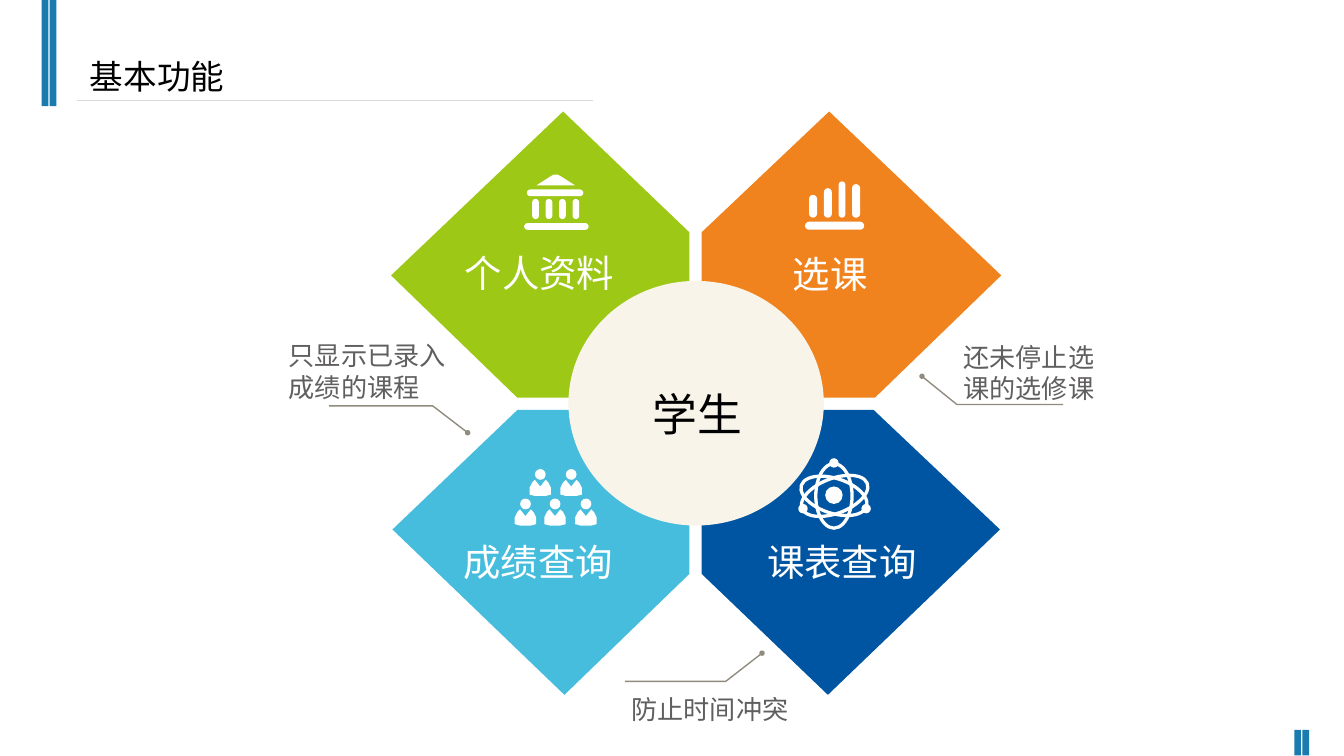
from dataclasses import dataclass

from lxml.etree import SubElement
from pptx import Presentation
from pptx.dml.color import RGBColor
from pptx.enum.shapes import MSO_CONNECTOR as Connector
from pptx.enum.shapes import MSO_SHAPE as Preset
from pptx.enum.text import MSO_AUTO_SIZE as AutoSize
from pptx.oxml.ns import qn
from pptx.util import Emu, Pt

EMU_PER_PX = 9144  # 100 px to the inch
SLIDE_WIDTH = 1000

COLORS = {
    "stripe": "1A7BAE", "rule": "D9D9D9", "lime": "9DC815", "orange": "F0831E",
    "sky": "47BDDD", "navy": "0055A2", "cream": "F8F4EA", "leader": "908B7E",
    "note": "605E5E", "white": "FFFFFF", "black": "000000",
}

Points = list[tuple[int, int]]


@dataclass
class Box:
    x: int
    y: int
    w: int
    h: int

    def emu(self) -> list[Emu]:
        return [px(v) for v in (self.x, self.y, self.w, self.h)]


@dataclass
class Label:
    text: str
    box: Box
    size: int
    color: str
    font: str = "Courier New"
    wrap: bool = False


@dataclass
class Petal:
    color: str
    outline: Points


@dataclass
class Leader:
    route: Points  # the dot sits on the first point


def px(value: int) -> Emu:
    return Emu(value * EMU_PER_PX)


def rgb(color: str) -> RGBColor:
    return RGBColor.from_string(COLORS[color])


def paint(shape, color: str) -> None:
    shape.shadow.inherit = False
    shape.fill.solid()
    shape.fill.fore_color.rgb = rgb(color)
    shape.line.fill.background()


def stroke(shape, color: str, width: float) -> None:
    shape.shadow.inherit = False
    shape.fill.background()
    shape.line.color.rgb = rgb(color)
    shape.line.width = Pt(width)


def add_preset(shapes, kind: Preset, box: Box, color: str):
    shape = shapes.add_shape(kind, *box.emu())
    paint(shape, color)
    return shape


def add_pill(shapes, box: Box) -> None:
    add_preset(shapes, Preset.ROUNDED_RECTANGLE, box, "white").adjustments[0] = 0.5


def add_path(shapes, points: Points, close: bool = True):
    builder = shapes.build_freeform(*points[0], scale=EMU_PER_PX)
    builder.add_line_segments(points[1:], close=close)
    return builder.convert_to_shape()


def add_leader(shapes, leader: Leader) -> None:
    stroke(add_path(shapes, leader.route, close=False), "leader", 0.75)
    x, y = leader.route[0]
    add_preset(shapes, Preset.OVAL, Box(x - 2, y - 2, 4, 4), "leader")


def add_person(shapes, center: int, top: int) -> None:
    add_preset(shapes, Preset.OVAL, Box(center - 4, top, 8, 8), "white")
    half = [(0, 13), (4, 8), (6, 10), (8, 14), (8, 19), (4, 20)]
    torso = half + [(-dx, dy) for dx, dy in reversed(half[1:])]
    paint(add_path(shapes, [(center + dx, top + dy) for dx, dy in torso]), "white")


def add_orbit(shapes, box: Box, tilt: int) -> None:
    orbit = shapes.add_shape(Preset.OVAL, *box.emu())
    stroke(orbit, "white", 1.75)
    orbit.rotation = tilt


def add_label(shapes, label: Label) -> None:
    frame = shapes.add_textbox(*label.box.emu()).text_frame
    frame.word_wrap = label.wrap
    frame.auto_size = AutoSize.SHAPE_TO_FIT_TEXT
    paragraph = frame.paragraphs[0]
    paragraph.text = label.text
    paragraph.font.name = label.font
    paragraph.font.size = Pt(label.size)
    paragraph.font.color.rgb = rgb(label.color)


STRIPES = [Box(31, 0, 5, 79), Box(37, 0, 5, 79),
           Box(963, 543, 5, 19), Box(969, 543, 5, 19)]

PETALS = [
    Petal("orange", [(651, 296), (522, 296), (522, 173), (617, 83), (745, 205)]),
    Petal("sky", [(513, 427), (513, 305), (385, 305), (292, 394), (420, 517)]),
    Petal("navy", [(522, 427), (522, 305), (650, 305), (744, 394), (616, 517)]),
    Petal("lime", [(385, 296), (513, 296), (513, 173), (419, 83), (291, 205)]),
]

LEADERS = [
    Leader([(348, 322), (322, 302), (245, 302)]),
    Leader([(567, 486), (540, 507), (465, 507)]),
    Leader([(686, 280), (712, 301), (791, 301)]),
]

LABELS = [
    Label("基本功能", Box(57, 37, 121, 40), 18, "black", "Arial"),
    Label("防止时间冲突", Box(460, 511, 138, 34), 14, "note"),
    Label("只显示已录入成绩的课程", Box(205, 248, 154, 57), 14, "note", wrap=True),
    Label("还未停止选课的选修课", Box(707, 249, 132, 57), 14, "note", wrap=True),
    Label("个人资料", Box(336, 181, 132, 44), 20, "white"),
    Label("选课", Box(580, 182, 76, 44), 20, "white"),
    Label("成绩查询", Box(335, 396, 132, 44), 20, "white"),
    Label("课表查询", Box(561, 396, 132, 44), 20, "white"),
    Label("学生", Box(476, 283, 94, 50), 24, "black", "Arial", wrap=True),
]

# Base and rising columns of the chart icon, then bars and pillars of the bank
CHART_PILLS = [Box(599, 165, 44, 6), Box(602, 145, 6, 17), Box(613, 140, 6, 22),
               Box(624, 135, 5, 27), Box(634, 137, 6, 25)]
BANK_PILLS = [Box(390, 166, 48, 5), Box(392, 141, 42, 5)]
BANK_PILLS += [Box(x, 148, 5, 15) for x in (396, 406, 416, 426)]
BANK_ROOF = [(399, 138), (410, 131), (412, 130), (415, 130), (417, 131), (428, 138)]

PEOPLE = [(391, 371), (413, 371), (436, 371), (402, 349), (425, 349)]

ORBITS = [(Box(607, 345, 27, 48), 0), (Box(595, 356, 52, 26), -21),
          (Box(595, 356, 51, 26), 18)]
ATOM_DOTS = [Box(614, 362, 13, 13), Box(641, 375, 7, 7),
             Box(594, 375, 7, 7), Box(617, 341, 7, 7)]


def main() -> None:
    deck = Presentation()
    deck.slide_width = px(SLIDE_WIDTH)
    deck.slide_height = Emu(deck.slide_width * 9 // 16)
    shapes = deck.slides.add_slide(deck.slide_layouts[6]).shapes

    # Corner stripes and title rule
    for stripe in STRIPES:
        add_preset(shapes, Preset.RECTANGLE, stripe, "stripe")
    rule = shapes.add_connector(Connector.STRAIGHT, px(57), px(75), px(441), px(75))
    rule.line.color.rgb = rgb("rule")
    rule.line.width = Pt(0.75)
    SubElement(rule._element.spPr, qn("a:effectLst"))

    # Four petals around the centre disc
    for petal in PETALS:
        paint(add_path(shapes, petal.outline), petal.color)
    add_preset(shapes, Preset.OVAL, Box(423, 209, 190, 182), "cream")

    # Leader lines to the notes
    for leader in LEADERS:
        add_leader(shapes, leader)

    # Icons: chart, bank, people, atom
    for pill in CHART_PILLS + BANK_PILLS:
        add_pill(shapes, pill)
    paint(add_path(shapes, BANK_ROOF), "white")
    for center, top in PEOPLE:
        add_person(shapes, center, top)
    for orbit, tilt in ORBITS:
        add_orbit(shapes, orbit, tilt)
    for dot in ATOM_DOTS:
        add_preset(shapes, Preset.OVAL, dot, "white")

    # Title, petal names, notes and centre word
    for label in LABELS:
        add_label(shapes, label)

    deck.save("out.pptx")


if __name__ == "__main__":
    main()
